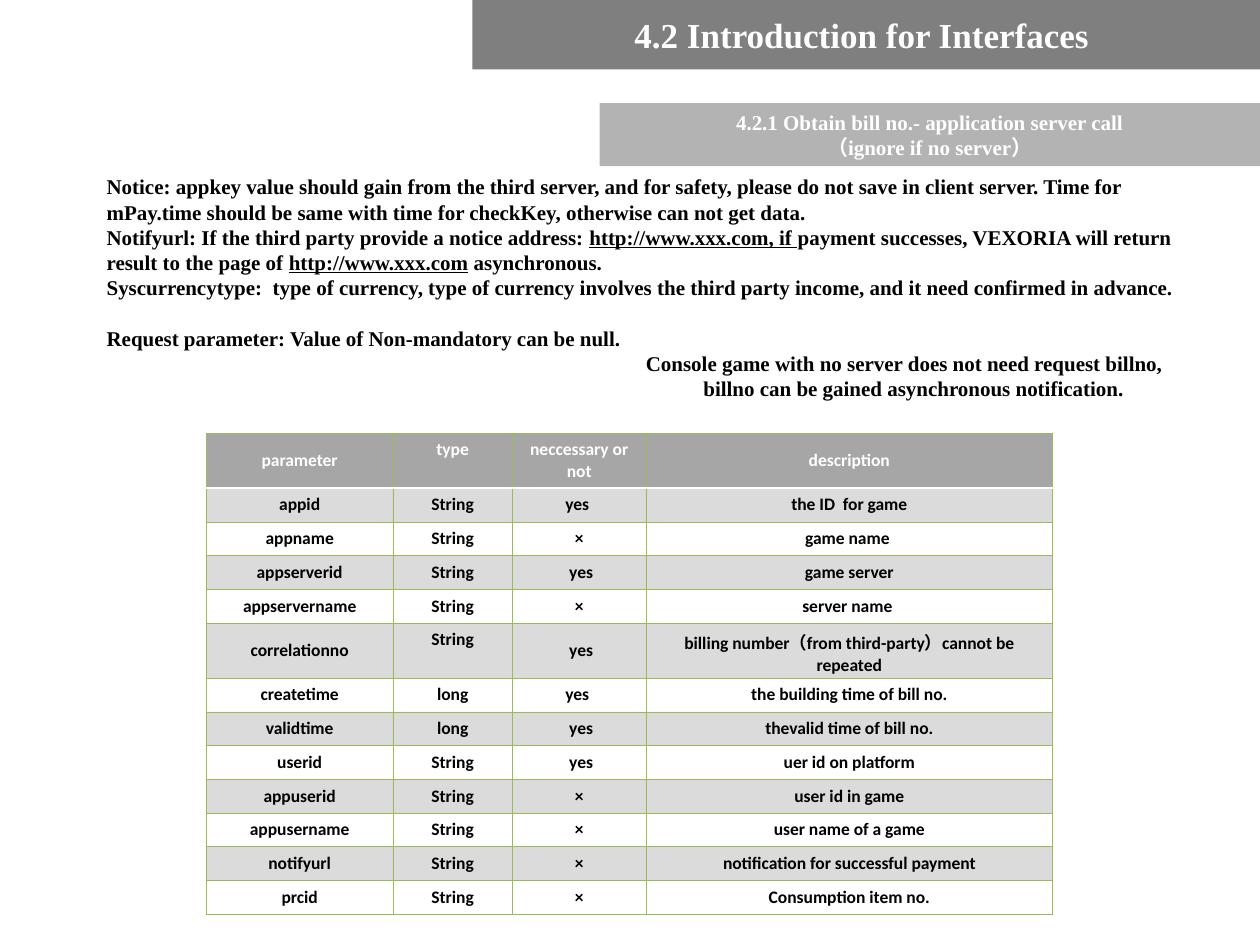
from typing import NamedTuple, Optional

from lxml.etree import SubElement
from pptx import Presentation
from pptx.dml.color import RGBColor
from pptx.enum.shapes import MSO_SHAPE as Preset
from pptx.enum.text import MSO_ANCHOR as Anchor, MSO_AUTO_SIZE as AutoSize, PP_ALIGN as Align
from pptx.oxml.ns import qn
from pptx.util import Cm, Pt

COLORS = {
    "white": "FFFFFF",
    "black": "000000",
    "title_band": "7F7F7F",
    "subtitle_band": "B3B3B3",
    "table_gray": "A6A6A6",
    "grid_green": "9BBB59",
}
SERIF, SANS = "Times New Roman", "Calibri"


class Run(NamedTuple):
    text: str
    underline: bool = False


class Note(NamedTuple):
    runs: list[Run]
    indent: float = 0
    space_before: float = 0


class Parameter(NamedTuple):
    name: str
    kind: str
    necessary: str
    description: str


SUBTITLE = [
    Note([Run("4.2.1 Obtain bill no.- application server call")]),
    Note([Run("（ignore if no server）")]),
]
NOTES = [
    Note([Run("Notice: appkey value should gain from the third server, and for safety, please do not "
              "save in client server. Time for mPay.time should be same with time for checkKey, "
              "otherwise can not get data.")]),
    Note([Run("Notifyurl: If the third party provide a notice address: "),
          Run("http://www.xxx.com, if ", underline=True),
          Run("payment successes, VEXORIA will return result to the page of "),
          Run("http://www.xxx.com", underline=True),
          Run(" asynchronous.")]),
    Note([Run("Syscurrencytype:  type of currency, type of currency involves the third party income, "
              "and it need confirmed in advance.")]),
    Note([Run("Request parameter: Value of Non-mandatory can be null.")], space_before=14.4),
    Note([Run("Console game with no server does not need request billno,")], indent=10.87),
    Note([Run("billno can be gained asynchronous notification.")], indent=12.03),
]
HEADER = Parameter("parameter", "type", "neccessary or not", "description")
PARAMETERS = [
    Parameter("appid", "String", "yes ", "the ID  for game"),
    Parameter("appname", "String", "×", "game name "),
    Parameter("appserverid", "String", " yes", "game server"),
    Parameter("appservername", "String", "×", "server name "),
    Parameter("correlationno", "String", " yes", "billing number（from third-party）cannot be repeated"),
    Parameter("createtime", "long", "yes ", "the building time of bill no."),
    Parameter("validtime", "long", " yes", "thevalid time of bill no."),
    Parameter("userid", "String", " yes", "uer id on platform"),
    Parameter("appuserid", "String", "×", "user id in game"),
    Parameter("appusername", "String", "×", "user name of a game"),
    Parameter("notifyurl", "String", "×", "notification for successful payment"),
    Parameter("prcid", "String", "×", "Consumption item no."),
]
COLUMN_WIDTHS = [3.76, 2.41, 2.69, 8.2]
ROW_HEIGHT, TALL_ROW_HEIGHT = 0.68, 1.11
TALL_ROWS = (0, 5)


def rgb(name: str) -> RGBColor:
    return RGBColor.from_string(COLORS[name])


def write_text(frame, notes: list[Note], *, size: float, font: str = SERIF, color: str = "black",
               align: Align = Align.LEFT, line_spacing: Optional[float] = None) -> None:
    frame.word_wrap = True
    for index, note in enumerate(notes):
        paragraph = frame.add_paragraph() if index else frame.paragraphs[0]
        paragraph.alignment = align
        if line_spacing:
            paragraph.line_spacing = Pt(line_spacing)
        if note.space_before:
            paragraph.space_before = Pt(note.space_before)
        if note.indent:
            properties = paragraph._p.get_or_add_pPr()
            properties.set("marL", str(Cm(note.indent)))
            properties.set("indent", "0")
        for part in note.runs:
            run = paragraph.add_run()
            run.text = part.text
            run.font.name = font
            run.font.size = Pt(size)
            run.font.bold = True
            run.font.color.rgb = rgb(color)
            if part.underline:
                run.font.underline = True


def place(shape, left: float, top: float, width: float, height: float) -> None:
    shape.left, shape.top, shape.width, shape.height = map(Cm, (left, top, width, height))


def fill_solid(target, color: str) -> None:
    target.fill.solid()
    target.fill.fore_color.rgb = rgb(color)


def set_border(cell, side: str, color: str, width: float) -> None:
    """Add one border; call for the sides in the order L, R, T, B, before any fill."""
    line = SubElement(cell._tc.get_or_add_tcPr(), qn(f"a:ln{side}"), w=str(Pt(width)))
    solid = SubElement(line, qn("a:solidFill"))
    SubElement(solid, qn("a:srgbClr"), val=COLORS[color])


def format_cell(cell, row: int, column: int) -> None:
    white_sides = {0: "B", 1: "T"}.get(row, "")
    for side in "LRTB":
        if side == white_sides:
            set_border(cell, side, "white", 1.47)
        else:
            set_border(cell, side, "grid_green", 0.45)
    if row == 0 or row % 2:
        fill_solid(cell, "table_gray")
        if row:
            color = cell._tc.tcPr.find(qn("a:solidFill")).find(qn("a:srgbClr"))
            SubElement(color, qn("a:alpha"), val="40000")
    else:
        cell.fill.background()
    top_anchored = column == 1 or (row, column) == (0, 2)
    cell.vertical_anchor = Anchor.TOP if top_anchored else Anchor.MIDDLE


def add_parameter_table(slide) -> None:
    rows = [HEADER, *PARAMETERS]
    heights = [TALL_ROW_HEIGHT if row in TALL_ROWS else ROW_HEIGHT for row in range(len(rows))]
    table = slide.shapes.add_table(len(rows), len(HEADER), Cm(4.16), Cm(8.73),
                                   Cm(sum(COLUMN_WIDTHS)), Cm(sum(heights))).table
    table.first_row = table.horz_banding = False
    for column, width in zip(table.columns, COLUMN_WIDTHS):
        column.width = Cm(width)
    for row, (parameter, height) in enumerate(zip(rows, heights)):
        table.rows[row].height = Cm(height)
        for column, text in enumerate(parameter):
            cell = table.cell(row, column)
            write_text(cell.text_frame, [Note([Run(text)])], size=10, font=SANS,
                       color="black" if row else "white", align=Align.CENTER)
            format_cell(cell, row, column)


def main() -> None:
    presentation = Presentation()
    presentation.slide_width, presentation.slide_height = Cm(25.4), Cm(19.05)
    slide = presentation.slides.add_slide(presentation.slide_layouts[5])

    title = slide.shapes.title
    place(title, 9.52, 0, 15.88, 1.4)
    fill_solid(title, "title_band")
    title.text_frame.auto_size = AutoSize.NONE
    title.text_frame.vertical_anchor = Anchor.MIDDLE
    write_text(title.text_frame, [Note([Run("4.2 Introduction for Interfaces ")])],
               size=20, color="white", align=Align.CENTER)

    subtitle = slide.shapes.add_shape(Preset.RECTANGLE, Cm(12.09), Cm(2.08), Cm(13.31), Cm(1.27))
    subtitle.shadow.inherit = False
    fill_solid(subtitle, "subtitle_band")
    subtitle.line.fill.background()
    subtitle.text_frame.vertical_anchor = Anchor.TOP
    write_text(subtitle.text_frame, SUBTITLE, size=12, color="white", align=Align.CENTER,
               line_spacing=14.4)

    notes = slide.shapes.add_textbox(Cm(1.9), Cm(3.38), Cm(22.2), Cm(4.83))
    write_text(notes.text_frame, NOTES, size=12, line_spacing=14.4)

    add_parameter_table(slide)
    presentation.save("out.pptx")


if __name__ == "__main__":
    main()
